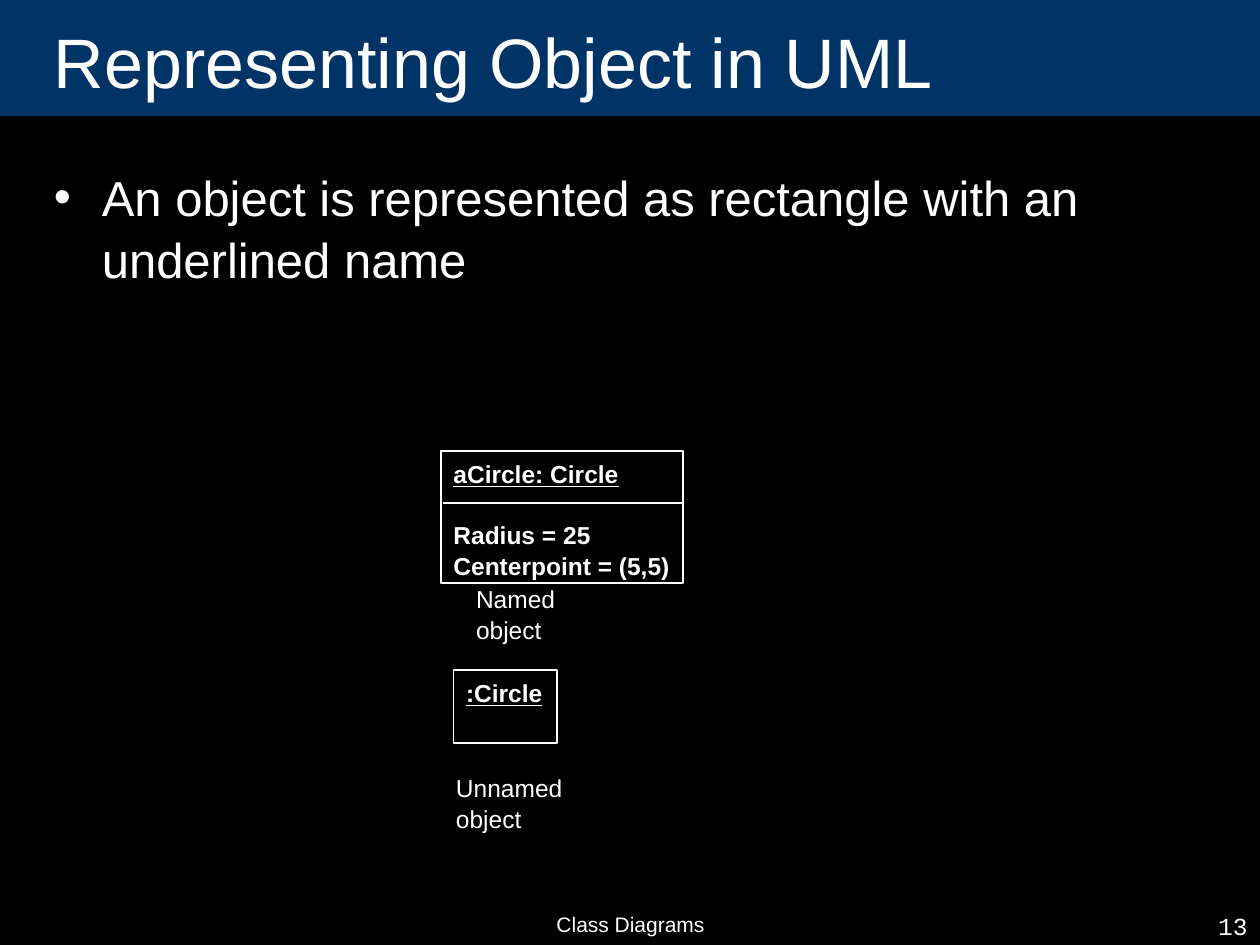
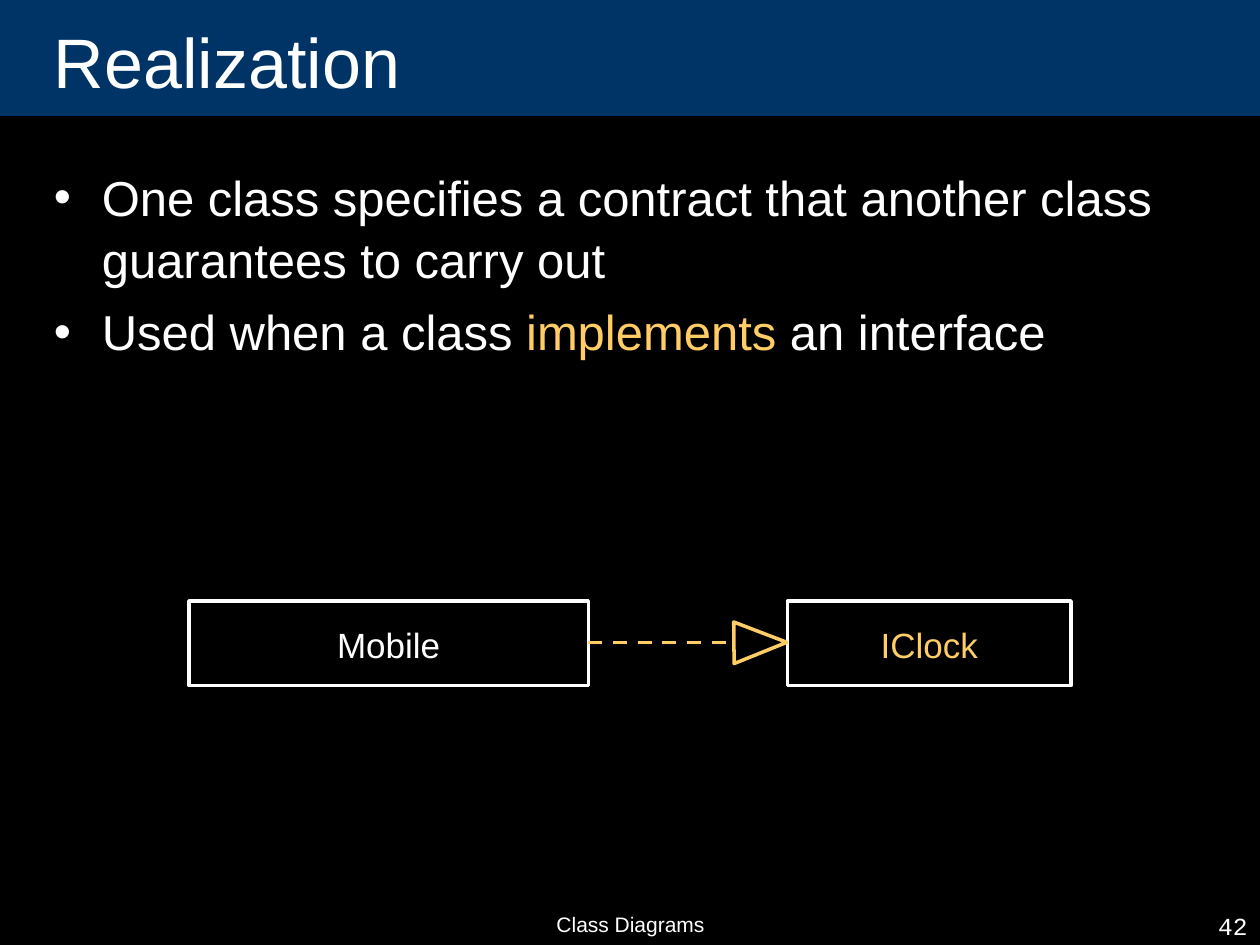
"""Build two UML class diagram slides with a shared dark style."""
from lxml import etree
from pptx import Presentation
from pptx.dml.color import RGBColor
from pptx.enum.dml import MSO_LINE
from pptx.enum.shapes import MSO_CONNECTOR, MSO_SHAPE
from pptx.enum.text import MSO_ANCHOR, PP_ALIGN
from pptx.oxml.ns import qn
from pptx.util import Inches, Pt

COLORS = {"back": "000000", "band": "003366", "text": "FFFFFF", "accent": "FFCC66"}
LEFT, CENTER, RIGHT = PP_ALIGN.LEFT, PP_ALIGN.CENTER, PP_ALIGN.RIGHT
TOP, MIDDLE = MSO_ANCHOR.TOP, MSO_ANCHOR.MIDDLE
RECTANGLE, TRIANGLE = MSO_SHAPE.RECTANGLE, MSO_SHAPE.FLOWCHART_EXTRACT
STRAIGHT, DASH = MSO_CONNECTOR.STRAIGHT, MSO_LINE.DASH
BAND_HEIGHT = 0.92
LINE_SPACING = 1.06


def color(name):
    """Return the named colour."""
    return RGBColor.from_string(COLORS[name])


def write(paragraph, text, size=14, font="Arial", ink="text", bold=False,
          underline=False, align=LEFT, before=0):
    """Add a formatted span of text to a paragraph."""
    paragraph.alignment = align
    paragraph.line_spacing = LINE_SPACING
    if before:
        paragraph.space_before = Pt(before)
    span = paragraph.add_run()
    span.text = text
    span.font.size = Pt(size)
    span.font.name = font
    span.font.bold = bold
    span.font.underline = underline
    span.font.color.rgb = color(ink)


class Deck:
    """Hold the presentation, its style and the current slide."""

    def __init__(self):
        """Start an empty deck."""
        self.file = Presentation()
        self.file.slide_width, self.file.slide_height = Inches(10), Inches(7.5)
        self.page = None

    def start_page(self, title, number):
        """Add a slide with its title band and footer."""
        self.page = self.file.slides.add_slide(self.file.slide_layouts[6])
        fill = self.page.background.fill
        fill.solid()
        fill.fore_color.rgb = color("back")
        self.shape(0, 0, 10, BAND_HEIGHT, fill="band")
        self.text(3.42, 7.17, 3.17, 0.33, "Class Diagrams", size=12, align=CENTER)
        self.text(7.92, 7.17, 2.08, 0.33, number, font="Courier New", align=RIGHT)
        self.text(0.33, 0, 8.92, BAND_HEIGHT, title, anchor=MIDDLE, size=40)

    def shape(self, left, top, width, height, kind=RECTANGLE, fill=None,
              line=None, weight=1):
        """Add a preset shape."""
        box = self.page.shapes.add_shape(
            kind, Inches(left), Inches(top), Inches(width), Inches(height))
        box.shadow.inherit = False
        if fill:
            box.fill.solid()
            box.fill.fore_color.rgb = color(fill)
        else:
            box.fill.background()
        if line:
            box.line.color.rgb = color(line)
            box.line.width = Pt(weight)
        else:
            box.line.fill.background()
        return box

    def label_shape(self, left, top, width, height, text, weight=1, anchor=TOP, **style):
        """Add an outlined rectangle and return its labelled frame."""
        box = self.shape(left, top, width, height, line="text", weight=weight)
        frame = box.text_frame
        frame.word_wrap = False
        frame.vertical_anchor = anchor
        write(frame.paragraphs[0], text, **style)
        return frame

    def text(self, left, top, width, height, text, anchor=TOP, right_inset=0.1, **style):
        """Add a wrapped text box."""
        box = self.page.shapes.add_textbox(
            Inches(left), Inches(top), Inches(width), Inches(height))
        frame = box.text_frame
        frame.word_wrap = True
        frame.vertical_anchor = anchor
        frame.margin_right = Inches(right_inset)
        if text:
            write(frame.paragraphs[0], text, **style)
        return frame

    def bullets(self, items):
        """Add bullets, each a list of text and colour pairs."""
        frame = self.text(0.33, 1.25, 9.42, 5.75, "")
        for index, spans in enumerate(items):
            paragraph = frame.add_paragraph() if index else frame.paragraphs[0]
            properties = paragraph._p.get_or_add_pPr()
            properties.set("marL", str(Inches(0.38)))
            properties.set("indent", str(-Inches(0.38)))
            etree.SubElement(properties, qn("a:buFont"), typeface="Arial")
            etree.SubElement(properties, qn("a:buChar"), char="•")
            for text, ink in spans:
                write(paragraph, text, size=28, ink=ink, before=5.6 if index else 0)

    def line(self, left, right, height, ink="text", weight=1, dash=None):
        """Add a horizontal line."""
        line = self.page.shapes.add_connector(
            STRAIGHT, Inches(left), Inches(height), Inches(right), Inches(height))
        line.line.color.rgb = color(ink)
        line.line.width = Pt(weight)
        if dash:
            line.line.dash_style = dash
        etree.SubElement(line._element.spPr, qn("a:effectLst"))


def build_objects(deck):
    """Show a named and an unnamed object."""
    deck.start_page("Representing Object in UML", "13")
    deck.bullets([[("An object is represented as rectangle with an underlined name", "text")]])
    deck.label_shape(3.6, 5.32, 0.82, 0.58, ":Circle", bold=True, underline=True)
    deck.text(3.68, 4.57, 1.4, 0.33, "Named object", right_inset=0.3)
    deck.text(3.52, 6.07, 1.61, 0.33, "Unnamed object", right_inset=0.3)
    circle = deck.label_shape(3.5, 3.58, 1.92, 1.05, "aCircle: Circle",
                              bold=True, underline=True)
    for text, before in (("Radius = 25", 17), ("Centerpoint = (5,5)", 0)):
        write(circle.add_paragraph(), text, bold=True, before=before)
    deck.line(3.52, 5.43, 3.99)


def build_realization(deck):
    """Show a class that implements an interface."""
    deck.start_page("Realization", "42")
    deck.bullets([
        [("One class specifies a contract that another class guarantees to carry out", "text")],
        [("Used when a class ", "text"), ("implements", "accent"), (" an interface", "text")],
    ])
    for left, width, name, ink in ((1.5, 3.17, "Mobile", "text"),
                                   (6.25, 2.25, "IClock", "accent")):
        deck.label_shape(left, 4.77, width, 0.67, name, weight=2, anchor=MIDDLE,
                         size=20, ink=ink, align=CENTER)
    deck.line(4.67, 5.83, 5.1, ink="accent", weight=2, dash=DASH)
    arrowhead = deck.shape(5.87, 4.89, 0.33, 0.42, kind=TRIANGLE, line="accent", weight=2)
    arrowhead.rotation = 89.5


def main():
    """Build and save the deck."""
    deck = Deck()
    build_objects(deck)
    build_realization(deck)
    deck.file.save("out.pptx")


if __name__ == "__main__":
    main()
